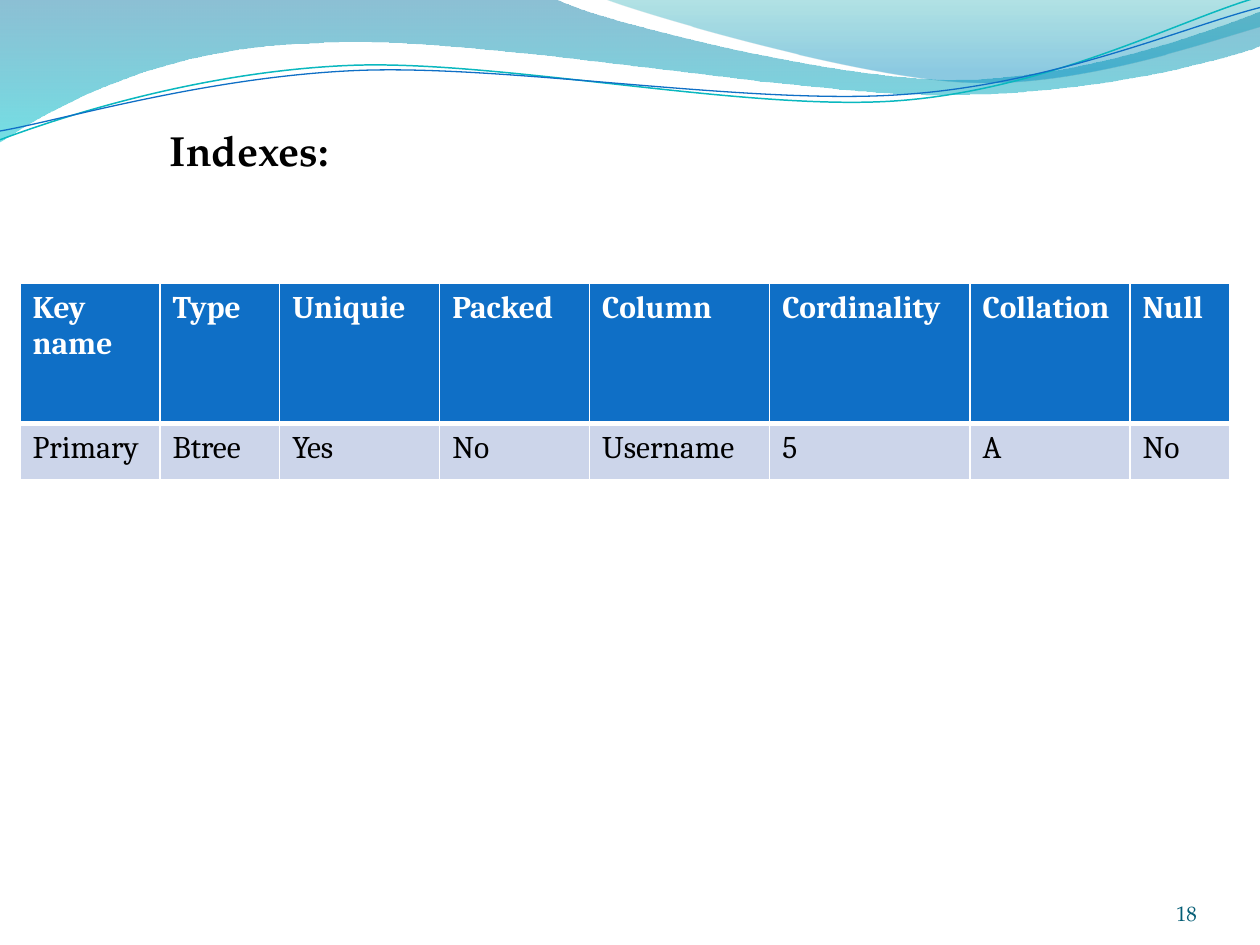
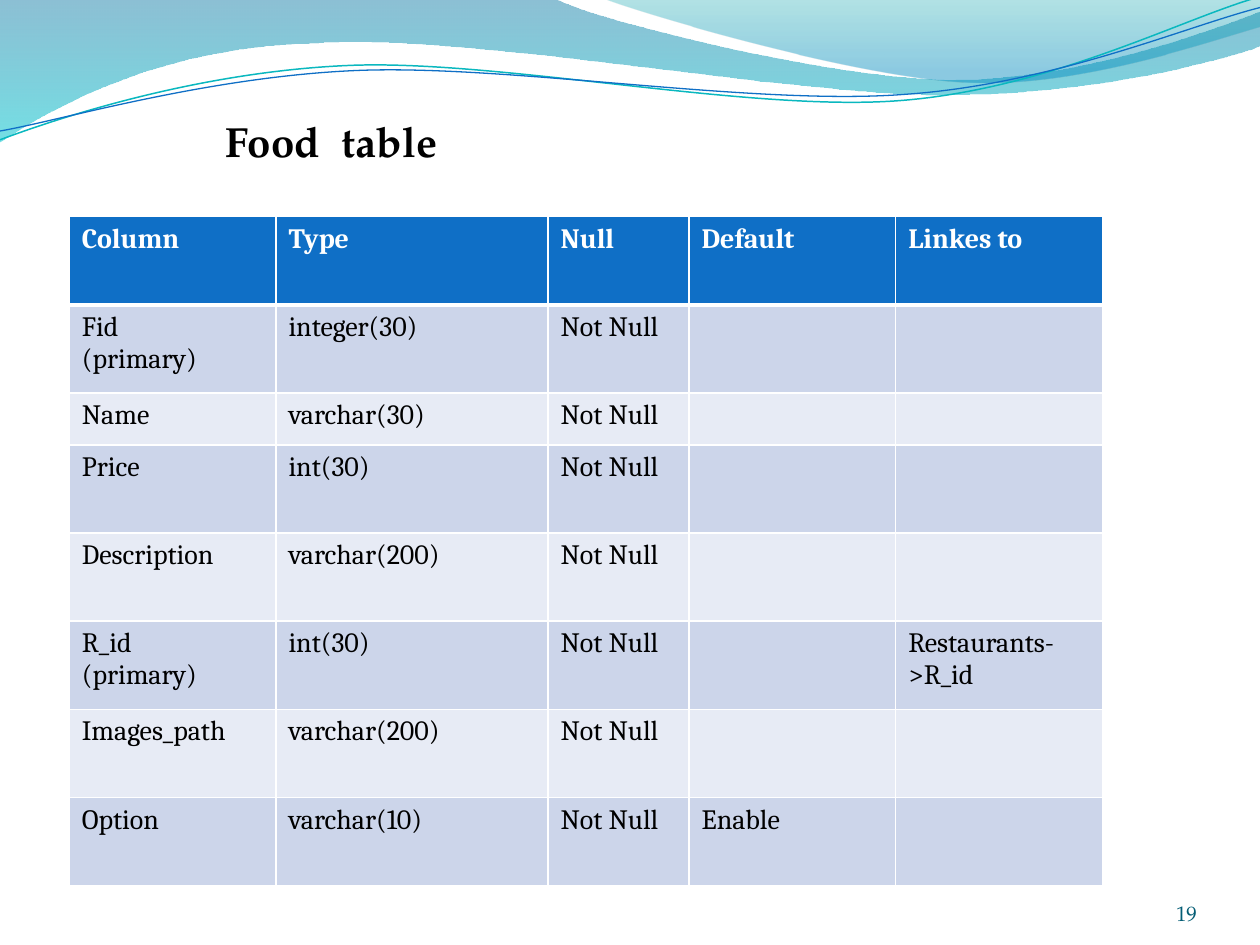
from lxml import etree
from pptx import Presentation
from pptx.dml.color import RGBColor
from pptx.enum.text import MSO_ANCHOR, PP_ALIGN
from pptx.oxml.ns import qn
from pptx.util import Pt

LEFT, MID, RIGHT, JUST = PP_ALIGN.LEFT, PP_ALIGN.CENTER, PP_ALIGN.RIGHT, PP_ALIGN.JUSTIFY
TOP, BASE = MSO_ANCHOR.TOP, MSO_ANCHOR.BOTTOM
PX = 9144


class Theme:
    serif = "TeX Gyre Pagella"
    grid = "Cambria"
    ink = "000000"
    white = "FFFFFF"
    blue = "0F6FC6"
    teal = "0AB8BF"
    page = "045D75"
    bands = ("CCD5EA", "E7EBF5")
    title = 24
    foot = 12
    thin = 1
    thick = 3


def write(frame, text, font, size, color, bold, align):
    for i, line in enumerate(text.split("\n")):
        para = frame.paragraphs[0] if i == 0 else frame.add_paragraph()
        para.alignment = align
        if not line:
            etree.SubElement(para._p, qn("a:endParaRPr"), sz=str(size * 100))
            continue
        run = para.add_run()
        run.text = line
        run.font.name = font
        run.font.size = Pt(size)
        run.font.bold = bold
        run.font.color.rgb = RGBColor.from_string(color)


def trace(slide, start, parts, closed):
    dots = [(x * PX, y * PX) for part in parts for x, y in zip(part[::2], part[1::2])]
    pen = slide.shapes.build_freeform(start[0] * PX, start[1] * PX)
    pen.add_line_segments(dots, close=closed)
    shape = pen.convert_to_shape()
    shape.shadow.inherit = False
    legs = iter(list(shape.element.iter(qn("a:lnTo"))))
    for part in parts:
        leg = next(legs)
        if len(part) == 6:
            leg.tag = qn("a:cubicBezTo")
            for _ in range(2):
                spare = next(legs)
                leg.append(spare[0])
                spare.getparent().remove(spare)
    return shape


waves = [
    ((0, 0), [(440, -1), (476, 17, 664, 63, 758, 63), (853, 63, 958, 26, 1000, 9),
              (1001, 36), (983, 44, 870, 76, 746, 75), (622, 75, 382, 28, 257, 34),
              (129, 36, 46, 83, -1, 113)],
     [(0, "0074A1", 45), (1, "00C6CF", 55)]),
    ((479, -1), [(509, 11, 682, 62, 769, 65), (856, 69, 961, 32, 1000, 21), (1000, 0)],
     [(0, "00A1A9", 30), (0.8, "008BBF", 45)]),
]
lines = [
    ((0, 111), [(48, 93, 158, 57, 277, 52), (395, 47, 593, 89, 713, 80),
                (833, 71, 938, 15, 998, -2)], Theme.teal, 0.85),
    ((0, 104), [(47, 96, 164, 61, 283, 56), (403, 51, 597, 84, 717, 75),
                (836, 67, 941, 21, 1000, 6)], Theme.blue, 0.75),
]

pages = [
    dict(
        title="Indexes:", spot=(125, 94, 219, 50), side=LEFT, num="18",
        at=(16, 225), size=18, align=LEFT,
        cols=[111, 95, 127, 119, 143, 159, 127, 79], rows=[111, 45],
        cells=[
            ["Key name", "Type", "Uniquie", "Packed", "Column", "Cordinality",
             "Collation", "Null"],
            ["Primary", "Btree", "Yes", "No", "Username", "5", "A", "No"],
        ]),
    dict(
        title="Food  table", spot=(163, 87, 200, 50), side=MID, num="19",
        at=(55, 172), size=16, align=JUST,
        cols=[164, 216, 112, 164, 164], rows=[70, 70, 41] + [70] * 5,
        cells=[
            ["Column", "Type", "Null", "Default", "Linkes to"],
            ["Fid\n(primary)", "integer(30)", "Not Null", "", ""],
            ["Name", "varchar(30)", "Not Null", "", ""],
            ["Price", "int(30)", "Not Null", "", ""],
            ["Description", "varchar(200)", "Not Null", "", ""],
            ["R_id\n(primary)", "int(30)", "Not Null", "", "Restaurants->R_id"],
            ["Images_path", "varchar(200)", "Not Null", "", ""],
            ["Option", "varchar(10)", "Not Null", "Enable", ""],
        ]),
]

deck = Presentation()
deck.slide_width, deck.slide_height = 1000 * PX, 750 * PX

for page in pages:
    slide = deck.slides.add_slide(deck.slide_layouts[6])

    for start, parts, stops in waves:
        wave = trace(slide, start, parts, True)
        wave.line.fill.background()
        wave.fill.gradient()
        wave.fill.gradient_angle = 270
        for stop, (pos, color, _) in zip(wave.fill.gradient_stops, stops):
            stop.position = pos
            stop.color.rgb = RGBColor.from_string(color)
        tints = wave.element.spPr.iter(qn("a:srgbClr"))
        for tint, (_, _, alpha) in zip(tints, stops):
            etree.SubElement(tint, qn("a:alpha"), val=str(alpha * 1000))

    for start, parts, color, width in lines:
        line = trace(slide, start, parts, False)
        line.fill.background()
        line.line.color.rgb = RGBColor.from_string(color)
        line.line.width = Pt(width)

    cols, rows = page["cols"], page["rows"]
    box = [v * PX for v in (*page["at"], sum(cols), sum(rows))]
    table = slide.shapes.add_table(len(rows), len(cols), *box).table
    table.horz_banding = False
    for col, width in zip(table.columns, cols):
        col.width = width * PX
    for i, (row, height, texts) in enumerate(zip(table.rows, rows, page["cells"])):
        row.height = height * PX
        head = i == 0
        fill = Theme.blue if head else Theme.bands[(i - 1) % 2]
        edges = {"L": Theme.thin, "R": Theme.thin,
                 "T": Theme.thick if i == 1 else Theme.thin,
                 "B": Theme.thick if head else Theme.thin}
        for cell, text in zip(row.cells, texts):
            props = cell._tc.get_or_add_tcPr()
            for edge, width in edges.items():
                rule = etree.SubElement(props, qn("a:ln" + edge), w=str(Pt(width)))
                solid = etree.SubElement(rule, qn("a:solidFill"))
                etree.SubElement(solid, qn("a:srgbClr"), val=Theme.white)
            cell.fill.solid()
            cell.fill.fore_color.rgb = RGBColor.from_string(fill)
            write(cell.text_frame, text, Theme.grid, page["size"],
                  Theme.white if head else Theme.ink, head, page["align"])

    labels = [
        (page["title"], page["spot"], Theme.title, Theme.ink, True, page["side"], TOP),
        (page["num"], (867, 695, 83, 40), Theme.foot, Theme.page, False, RIGHT, BASE),
    ]
    for text, spot, size, color, bold, align, anchor in labels:
        frame = slide.shapes.add_textbox(*[v * PX for v in spot]).text_frame
        frame.word_wrap = True
        frame.vertical_anchor = anchor
        if anchor == BASE:
            frame.margin_left = frame.margin_right = 0
            frame.margin_top = frame.margin_bottom = 0
        write(frame, text, Theme.serif, size, color, bold, align)

deck.save("out.pptx")
